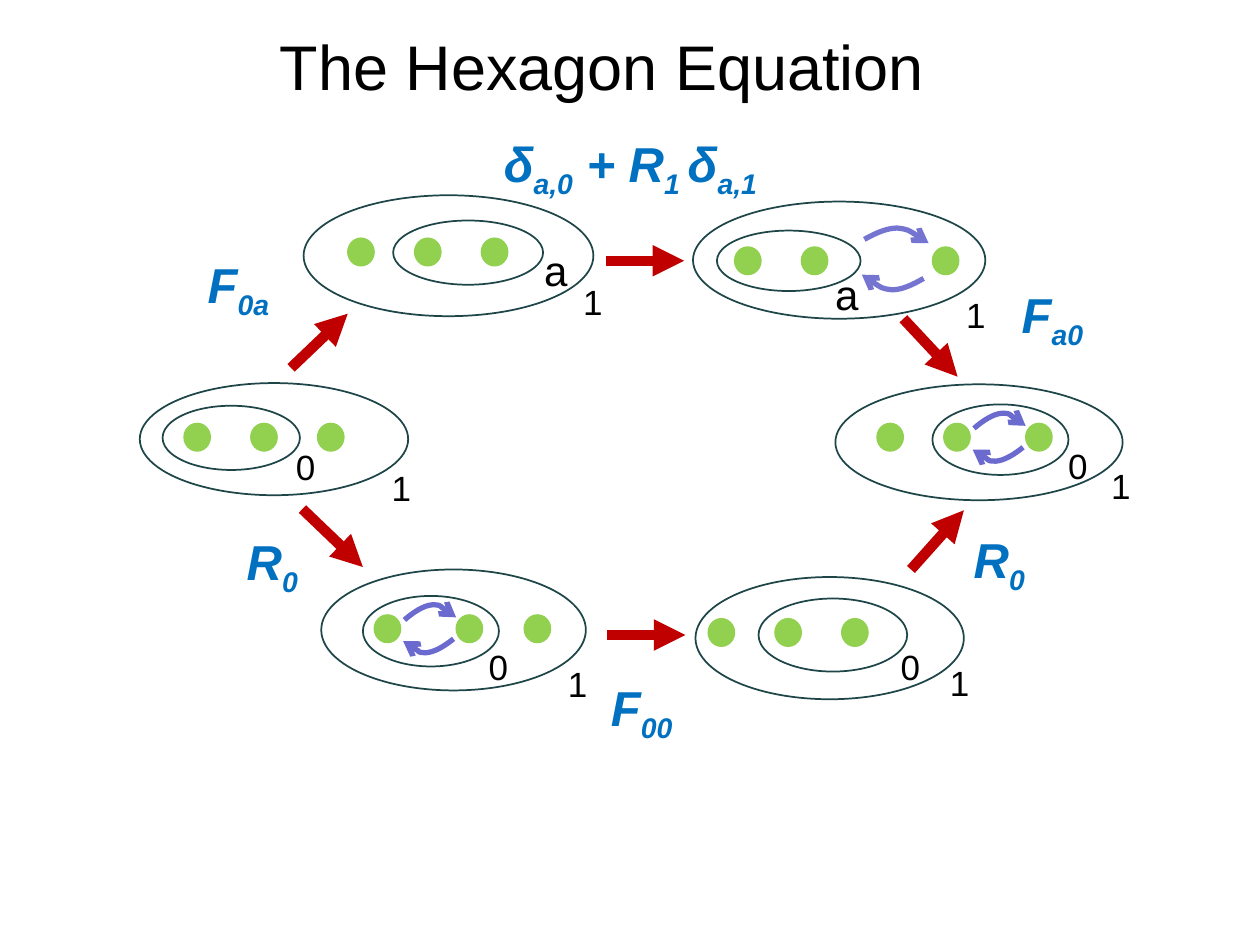
"""Draw the hexagon equation as six fusion states joined by F and R moves."""
from dataclasses import dataclass

from lxml.etree import SubElement
from pptx import Presentation
from pptx.dml.color import RGBColor
from pptx.enum.shapes import MSO_CONNECTOR, MSO_SHAPE
from pptx.enum.text import MSO_ANCHOR, PP_ALIGN
from pptx.oxml.ns import qn
from pptx.util import Inches, Pt

BLACK, BLUE, RED = "000000", "0070C0", "C00000"
OUTLINE, GREEN = "1E4649", "92D050"
WIDE_VIOLET, NARROW_VIOLET = "7575D1", "6B6BCF"
DOT_WIDTH, DOT_HEIGHT = 0.21, 0.22

Point = tuple[float, float]
Box = tuple[float, float, float, float]


@dataclass
class Swap:
    over: Point
    under: Point
    over_size: Point
    under_size: Point
    arc: tuple[Point, ...]
    color: str


@dataclass
class State:
    outer: Box
    inner: Box
    dots: tuple[float, float, float]
    dots_top: float
    charge: str
    charge_at: Point
    total_at: Point
    swap: Swap | None = None


@dataclass
class Move:
    start: Point
    end: Point
    label: str
    label_box: Box


WIDE_ARC = ((0, 0.75), (0.18, 0.33), (0.35, 0), (0.51, 0), (0.69, 0.08), (0.84, 0.5), (1, 1))
NARROW_ARC = ((0, 1), (0.17, 0.5), (0.37, 0.04), (0.54, 0), (0.71, 0), (0.85, 0.42), (1, 0.83))


def narrow_swap(left: float, top: float) -> Swap:
    """Return the exchange of two neighbouring dots."""
    return Swap((left, top), (left - 0.01, top + 0.27), (0.41, 0.12), (0.4, 0.11),
                NARROW_ARC, NARROW_VIOLET)


STATES = (
    State((2.41, 1.55, 2.3, 0.96), (3.12, 1.75, 1.19, 0.51), (2.76, 3.29, 3.82), 1.89,
          "a", (4.22, 1.89), (4.53, 2.18)),
    State((5.5, 1.6, 2.32, 0.93), (5.69, 1.83, 1.14, 0.48), (5.83, 6.36, 7.4), 1.96,
          "a", (6.53, 2.08), (7.57, 2.28),
          Swap((6.86, 1.81), (6.84, 2.18), (0.51, 0.12), (0.49, 0.12), WIDE_ARC, WIDE_VIOLET)),
    State((6.63, 3.05, 2.28, 0.92), (7.4, 3.21, 1.08, 0.56), (6.96, 7.49, 8.14), 3.36,
          "0", (8.38, 3.48), (8.72, 3.64), narrow_swap(7.73, 3.28)),
    State((5.52, 4.58, 2.13, 0.97), (6.02, 4.75, 1.18, 0.58), (5.62, 6.15, 6.68), 4.91,
          "0", (7.05, 5.07), (7.44, 5.2)),
    State((2.55, 4.52, 2.1, 0.96), (2.88, 4.73, 1.08, 0.56), (2.97, 3.62, 4.16), 4.88,
          "0", (3.78, 5.07), (4.41, 5.21), narrow_swap(3.21, 4.8)),
    State((1.11, 3.04, 2.13, 0.89), (1.29, 3.22, 1.09, 0.51), (1.46, 1.99, 2.52), 3.36,
          "0", (2.25, 3.49), (3.01, 3.65)),
)

MOVES = (
    Move((2.31, 2.92), (2.76, 2.49), "F|0a", (1.55, 1.97, 0.73, 0.57)),
    Move((4.81, 2.07), (5.43, 2.07), "δ|a,0| + R|1 |δ|a,1", (3.9, 1.01, 2.83, 0.57)),
    Move((7.17, 2.53), (7.6, 2.99), "F|a0", (8.01, 2.21, 0.73, 0.57)),
    Move((2.4, 4.04), (2.88, 4.5), "R|0", (1.86, 4.17, 0.63, 0.57)),
    Move((4.82, 5.04), (5.44, 5.04), "F|00", (4.75, 5.33, 0.73, 0.57)),
    Move((7.23, 4.52), (7.65, 4.05), "R|0", (7.63, 4.15, 0.63, 0.57)),
)


def rgb(value: str) -> RGBColor:
    """Return the colour for a hex string."""
    return RGBColor.from_string(value)


def inches(values) -> list:
    """Convert a sequence of numbers to lengths."""
    return [Inches(value) for value in values]


def write(frame, text: str, *, size: float, color: str = BLACK, emphasis: bool = False) -> None:
    """Write text whose every second part, split at bars, is a subscript."""
    frame.word_wrap = False
    frame.vertical_anchor = MSO_ANCHOR.TOP
    paragraph = frame.paragraphs[0]
    paragraph.alignment = PP_ALIGN.LEFT
    for index, part in enumerate(text.split("|")):
        run = paragraph.add_run()
        run.text = part
        run.font.name = "Arial"
        run.font.size = Pt(size)
        run.font.bold = run.font.italic = emphasis
        run.font.color.rgb = rgb(color)
        if index % 2:
            run.font._element.set("baseline", "-25000")


def add_label(slide, box: Box, text: str, **style) -> None:
    """Add a text box holding one label."""
    write(slide.shapes.add_textbox(*inches(box)).text_frame, text, **style)


def add_ellipse(slide, box: Box, line: str, width: float, fill: str | None = None) -> None:
    """Add an ellipse, hollow unless a fill is given."""
    ellipse = slide.shapes.add_shape(MSO_SHAPE.OVAL, *inches(box))
    ellipse.shadow.inherit = False
    ellipse.line.color.rgb = rgb(line)
    ellipse.line.width = Pt(width)
    if fill:
        ellipse.fill.solid()
        ellipse.fill.fore_color.rgb = rgb(fill)
    else:
        ellipse.fill.background()


def style_arrow(arrow, color: str, width: float, head: str) -> None:
    """Give a line its colour, width and arrowhead."""
    arrow.line.color.rgb = rgb(color)
    arrow.line.width = Pt(width)
    SubElement(arrow.line._get_or_add_ln(), qn("a:tailEnd"), type=head)


def add_arc(slide, corner: Point, size: Point, arc: tuple[Point, ...], color: str) -> None:
    """Add an arrow along two joined cubic curves."""
    start, *rest = [inches(c + s * p for c, s, p in zip(corner, size, point)) for point in arc]
    builder = slide.shapes.build_freeform(*start)
    builder.add_line_segments(rest, close=False)
    curve = builder.convert_to_shape()
    curve.shadow.inherit = False
    curve.fill.background()
    outline = next(curve._element.iter(qn("a:path")))
    segments = outline.findall(qn("a:lnTo"))
    for first in range(0, len(segments), 3):
        bezier = SubElement(outline, qn("a:cubicBezTo"))
        for segment in segments[first:first + 3]:
            bezier.append(segment[0])
            outline.remove(segment)
    style_arrow(curve, color, 3, "arrow")


def add_state(slide, state: State) -> None:
    """Draw three dots, their nested loops, charges and any exchange."""
    add_ellipse(slide, state.outer, OUTLINE, 1)
    add_ellipse(slide, state.inner, OUTLINE, 1)
    for left in state.dots:
        add_ellipse(slide, (left, state.dots_top, DOT_WIDTH, DOT_HEIGHT), GREEN, 0.75, GREEN)
    if state.swap:
        swap = state.swap
        turned = tuple((1 - x, 1 - y) for x, y in swap.arc)
        add_arc(slide, swap.over, swap.over_size, swap.arc, swap.color)
        add_arc(slide, swap.under, swap.under_size, turned, swap.color)
    charge_size = 24 if state.charge == "a" else 20
    add_label(slide, (*state.charge_at, 0.39, 0.5) if charge_size == 24
              else (*state.charge_at, 0.36, 0.44), state.charge, size=charge_size)
    add_label(slide, (*state.total_at, 0.36, 0.44), "1", size=20)


def add_move(slide, move: Move) -> None:
    """Draw a move between two states with its label."""
    arrow = slide.shapes.add_connector(MSO_CONNECTOR.STRAIGHT, *inches(move.start + move.end))
    style_arrow(arrow, RED, 6, "triangle")
    SubElement(arrow._element.spPr, qn("a:effectLst"))
    add_label(slide, move.label_box, move.label, size=28, color=BLUE, emphasis=True)


def main() -> None:
    """Build the slide and save it."""
    deck = Presentation()
    deck.slide_width, deck.slide_height = inches((10, 7.5))
    slide = deck.slides.add_slide(deck.slide_layouts[5])
    title = slide.shapes.title
    title.left, title.top, title.width, title.height = inches((2.12, 0.17, 5.36, 0.71))
    write(title.text_frame, "The Hexagon Equation", size=36)
    for state in STATES:
        add_state(slide, state)
    for move in MOVES:
        add_move(slide, move)
    deck.save("out.pptx")


if __name__ == "__main__":
    main()
